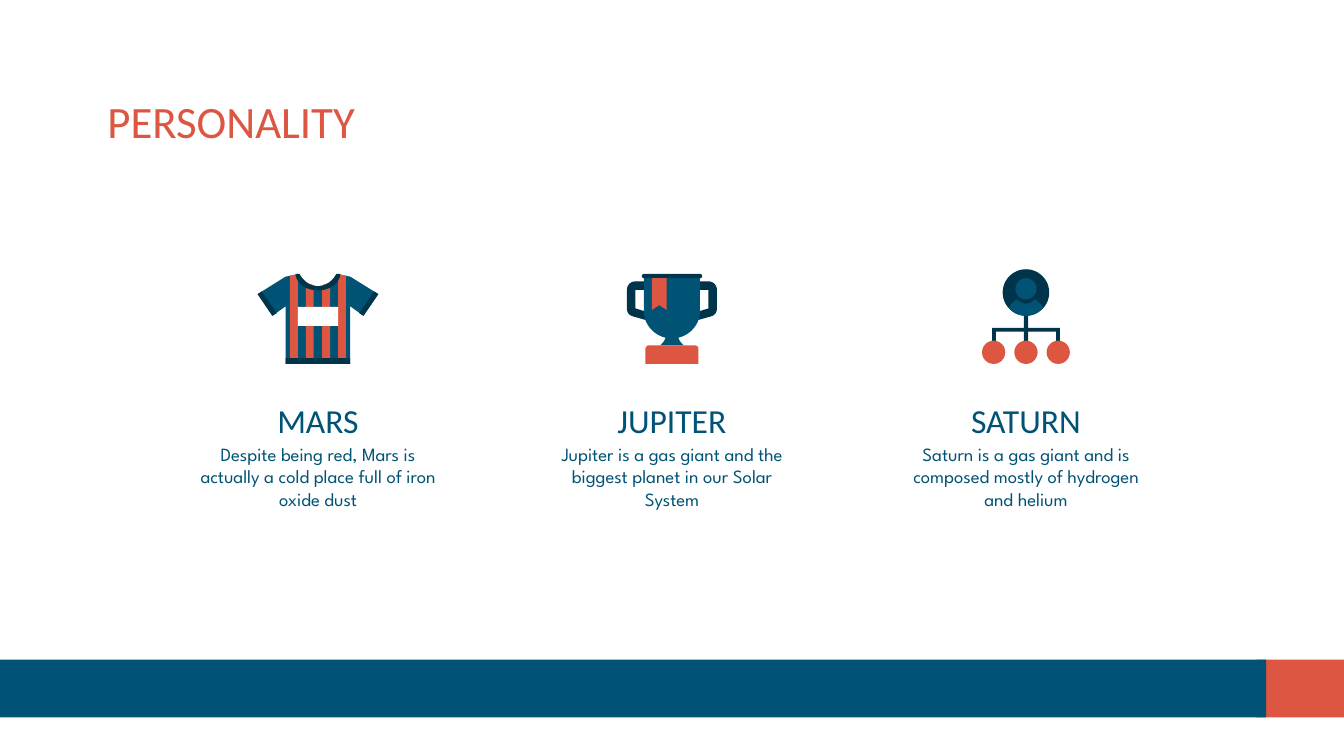
from dataclasses import dataclass
from typing import Any

from pptx import Presentation
from pptx.dml.color import RGBColor
from pptx.enum.shapes import MSO_SHAPE
from pptx.enum.text import MSO_ANCHOR, MSO_AUTO_SIZE, PP_ALIGN
from pptx.util import Cm, Pt


@dataclass(frozen=True)
class Theme:
    coral: RGBColor = RGBColor(0xDC, 0x56, 0x41)
    blue: RGBColor = RGBColor(0x00, 0x53, 0x75)
    navy: RGBColor = RGBColor(0x00, 0x34, 0x4A)
    white: RGBColor = RGBColor(0xFF, 0xFF, 0xFF)
    heading_font: str = "Calibri"
    body_font: str = "League Spartan"
    title_size: int = 24
    heading_size: int = 18
    body_size: int = 10


THEME = Theme()
PLANETS = [
    ("MARS", "Despite being red, Mars is actually a cold place full of iron oxide dust"),
    ("JUPITER", "Jupiter is a gas giant and the biggest planet in our Solar System"),
    ("SATURN", "Saturn is a gas giant and is composed mostly of hydrogen and helium"),
]
FIRST_AXIS, COLUMN_PITCH, COLUMN_WIDTH = 6.01, 6.69, 5.36
ICON_TOP, HEADING_TOP, BODY_TOP, LINE_HEIGHT = 5.08, 7.39, 8.46, 1.09
CURVE_STEPS = 12


def paint(shape, color):
    shape.shadow.inherit = False
    shape.fill.solid()
    shape.fill.fore_color.rgb = color
    shape.line.fill.background()


def apply_format(target, values):
    for attribute, value in values.items():
        setattr(target, attribute, value)


def write(holder, text, font_name, size, color, align):
    frame = holder.text_frame
    margins = dict.fromkeys(
        ("margin_left", "margin_top", "margin_right", "margin_bottom"), Cm(0.25))
    apply_format(frame, {"text": text, "word_wrap": True, "auto_size": MSO_AUTO_SIZE.NONE,
                         "vertical_anchor": MSO_ANCHOR.MIDDLE, **margins})
    paragraph = frame.paragraphs[0]
    paragraph.alignment = align
    font = paragraph.runs[0].font
    apply_format(font, {"name": font_name, "size": Pt(size)})
    font.color.rgb = color


def trace(*steps):
    points = []
    for step in steps:
        if len(step) == 2:
            points.append(step)
            continue
        x0, y0 = points[-1]
        x1, y1, x2, y2, x3, y3 = step
        for i in range(1, CURVE_STEPS + 1):
            t = i / CURVE_STEPS
            a, b, c, d = (1 - t) ** 3, 3 * t * (1 - t) ** 2, 3 * t * t * (1 - t), t ** 3
            points.append((a * x0 + b * x1 + c * x2 + d * x3,
                           a * y0 + b * y1 + c * y2 + d * y3))
    return points


def flip(points):
    return [(-x, y) for x, y in points]


def symmetric(*steps):
    half = trace(*steps)
    return half + flip(reversed(half))


@dataclass
class Icon:
    shapes: Any
    axis: float

    def outline(self, points, color):
        corners = [(Cm(self.axis + x), Cm(ICON_TOP + y)) for x, y in points]
        builder = self.shapes.build_freeform(*corners[0])
        builder.add_line_segments(corners[1:], close=True)
        paint(builder.convert_to_shape(), color)

    def pair(self, points, color):
        self.outline(points, color)
        self.outline(flip(points), color)

    def preset(self, kind, center, top, width, height, color):
        part = self.shapes.add_shape(kind, Cm(self.axis + center - width / 2),
                                     Cm(ICON_TOP + top), Cm(width), Cm(height))
        paint(part, color)
        return part

    def disc(self, center, middle, radius, color):
        self.preset(MSO_SHAPE.OVAL, center, middle - radius, 2 * radius, 2 * radius, color)


def draw_shirt(icon):
    neckline = (-0.28, 0.23, -0.16, 0.33, 0, 0.33)
    icon.outline(symmetric((-0.61, 1.8), (-0.61, 0.71), (-0.86, 0.89), (-1.14, 0.48),
                           (-0.61, 0.15), (-0.35, 0.1), neckline), THEME.blue)
    icon.pair([(-0.53, 0.13), (-0.38, 0.1), (-0.38, 1.8), (-0.53, 1.8)], THEME.coral)
    icon.pair([(-0.23, 0.26), (-0.08, 0.31), (-0.08, 1.8), (-0.23, 1.8)], THEME.coral)
    icon.outline(symmetric((0, 0.41), (-0.2, 0.41, -0.38, 0.31, -0.42, 0.13), (-0.42, 0.1),
                           (-0.35, 0.1), neckline), THEME.navy)
    icon.pair([(-1.06, 0.43), (-1.14, 0.48), (-0.86, 0.89), (-0.78, 0.84)], THEME.navy)
    icon.preset(MSO_SHAPE.RECTANGLE, 0, 1.69, 1.22, 0.11, THEME.navy)
    icon.preset(MSO_SHAPE.RECTANGLE, 0, 0.72, 0.76, 0.36, THEME.white)


def draw_trophy(icon):
    icon.pair(trace((-0.48, 0.24), (-0.48, 0.4), (-0.69, 0.4), (-0.69, 0.75), (-0.53, 0.8),
                    (-0.48, 0.83), (-0.45, 0.98), (-0.53, 0.96), (-0.74, 0.9),
                    (-0.81, 0.88, -0.85, 0.83, -0.85, 0.75), (-0.85, 0.4),
                    (-0.85, 0.32, -0.79, 0.24, -0.69, 0.24)), THEME.navy)
    icon.outline(symmetric((-0.06, 1.17), (-0.15, 1.37), (-0.22, 1.45)), THEME.blue)
    icon.outline(symmetric((-0.53, 0.18), (-0.53, 0.81),
                           (-0.53, 1.09, -0.28, 1.32, 0, 1.32)), THEME.blue)
    rim = icon.preset(MSO_SHAPE.ROUNDED_RECTANGLE, 0, 0.1, 1.14, 0.08, THEME.navy)
    rim.adjustments[0] = 0.5
    icon.preset(MSO_SHAPE.ROUND_2_SAME_RECTANGLE, 0, 1.45, 1, 0.35, THEME.coral)
    icon.outline([(-0.38, 0.18), (-0.38, 0.78), (-0.24, 0.69), (-0.1, 0.78), (-0.1, 0.18)],
                 THEME.coral)


def draw_team(icon):
    icon.outline(symmetric((-0.04, 0.84), (-0.04, 1.12), (-0.64, 1.12), (-0.64, 1.4),
                           (-0.57, 1.4), (-0.57, 1.19), (-0.04, 1.19), (-0.04, 1.4)), THEME.navy)
    icon.disc(0, 0.45, 0.44, THEME.navy)
    icon.disc(0, 0.38, 0.2, THEME.blue)
    for member in (-0.61, 0, 0.61):
        icon.disc(member, 1.58, 0.22, THEME.coral)
    icon.outline(symmetric((0, 0.66), (-0.06, 0.66, -0.12, 0.63, -0.17, 0.58),
                           (-0.25, 0.63, -0.3, 0.69, -0.32, 0.74),
                           (-0.24, 0.84, -0.13, 0.89, 0, 0.89)), THEME.blue)


def add_band(slide, left, width, color):
    band = slide.shapes.add_shape(MSO_SHAPE.RECTANGLE, Cm(left), Cm(12.47), Cm(width), Cm(1.09))
    paint(band, color)


def add_title(slide, text):
    title = slide.shapes.title
    apply_format(title, {"left": Cm(1.78), "top": Cm(1.73),
                         "width": Cm(22.4), "height": Cm(LINE_HEIGHT)})
    write(title, text, THEME.heading_font, THEME.title_size, THEME.coral, PP_ALIGN.LEFT)


def add_caption(slide, axis, top, text, font_name, size):
    caption = slide.shapes.add_textbox(Cm(axis - COLUMN_WIDTH / 2), Cm(top),
                                       Cm(COLUMN_WIDTH), Cm(LINE_HEIGHT))
    write(caption, text, font_name, size, THEME.blue, PP_ALIGN.CENTER)


def main():
    deck = Presentation()
    apply_format(deck, {"slide_width": Cm(25.4), "slide_height": Cm(14.29)})
    slide = deck.slides.add_slide(deck.slide_layouts[5])
    add_band(slide, 23.75, 1.65, THEME.coral)
    add_band(slide, 0, 23.93, THEME.blue)
    add_title(slide, "PERSONALITY")
    icons = (draw_shirt, draw_trophy, draw_team)
    for column, ((planet, fact), draw_icon) in enumerate(zip(PLANETS, icons)):
        axis = FIRST_AXIS + column * COLUMN_PITCH
        add_caption(slide, axis, HEADING_TOP, planet, THEME.heading_font, THEME.heading_size)
        add_caption(slide, axis, BODY_TOP, fact, THEME.body_font, THEME.body_size)
        draw_icon(Icon(slide.shapes.add_group_shape().shapes, axis))
    deck.save("out.pptx")


if __name__ == "__main__":
    main()
